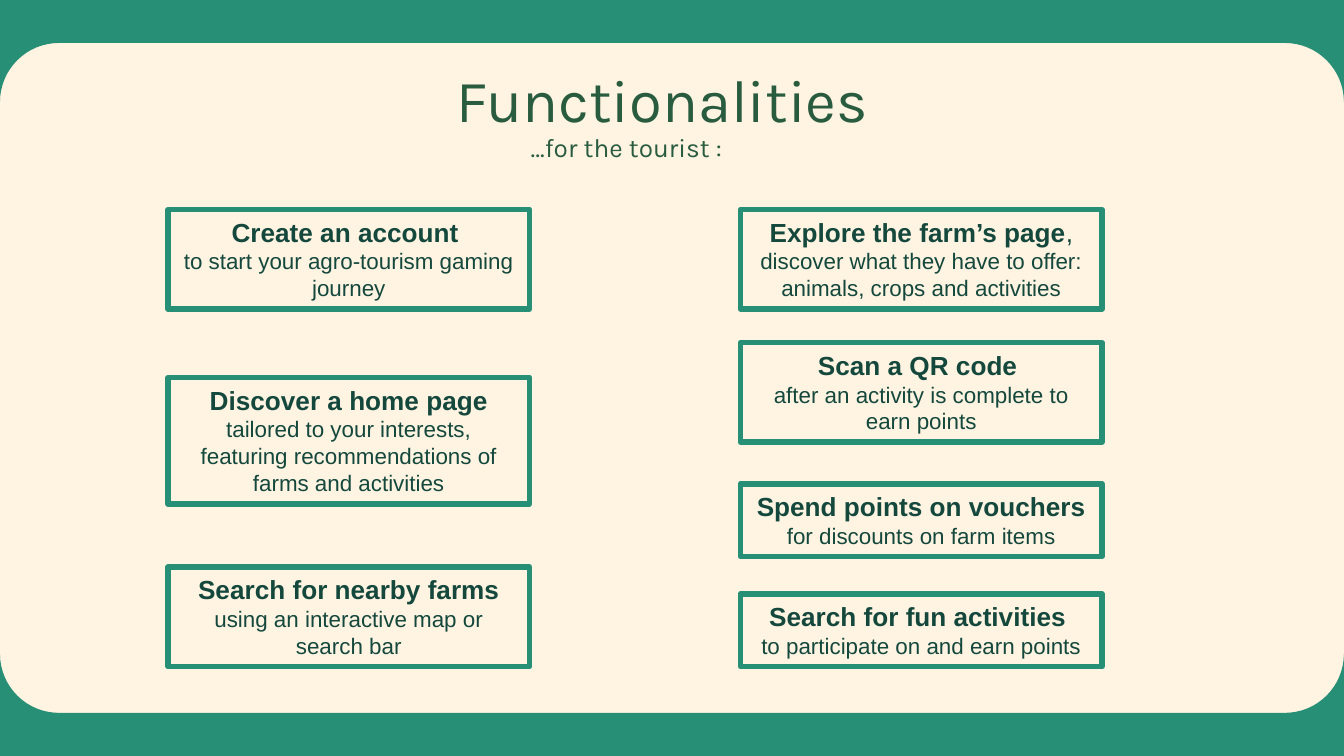
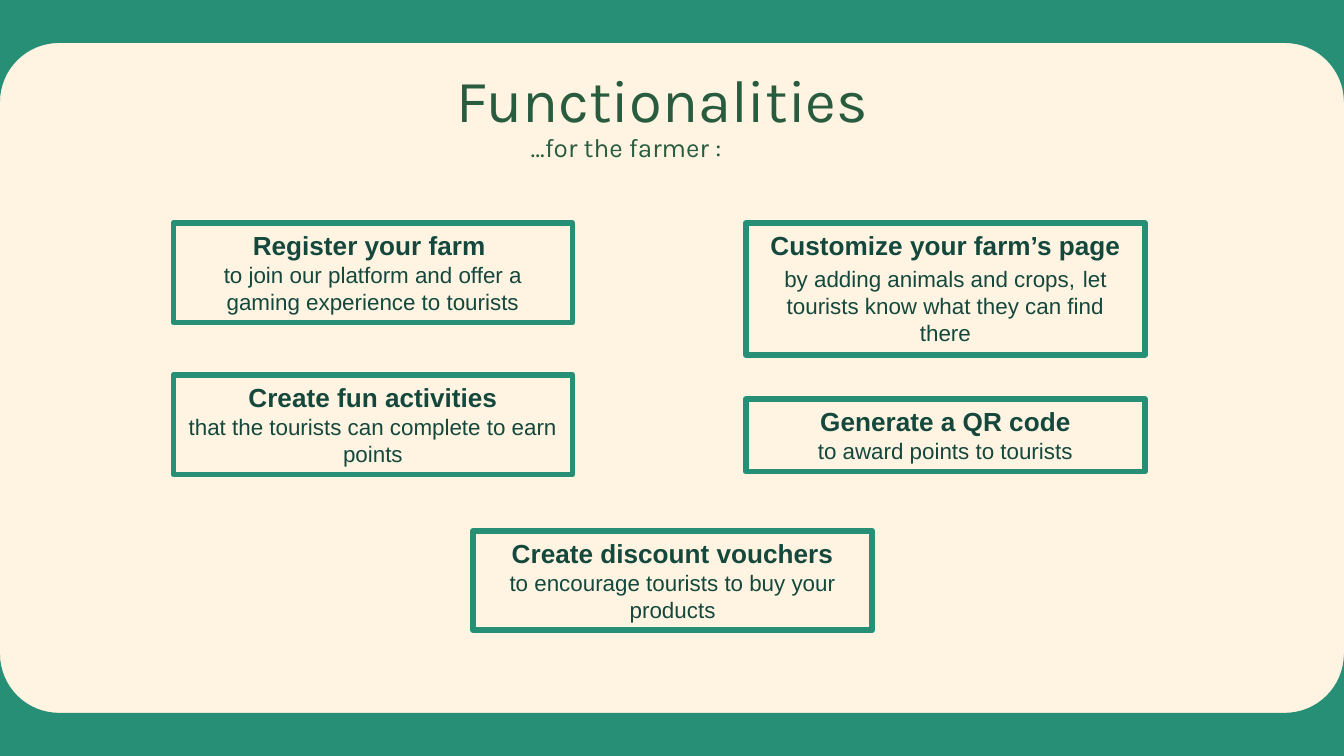
from dataclasses import dataclass
from math import cos, pi, sin

from lxml.etree import SubElement
from pptx import Presentation
from pptx.dml.color import RGBColor as RGB
from pptx.enum.shapes import MSO_SHAPE as Kind
from pptx.enum.text import MSO_ANCHOR as Anchor, MSO_AUTO_SIZE as Fit, PP_ALIGN as Align
from pptx.oxml.ns import qn
from pptx.slide import Slide, SlideLayout as Layout
from pptx.text.text import TextFrame as Frame
from pptx.util import Inches, Pt

WIDTH = 10
HEIGHT = WIDTH * 9 / 16


@dataclass(frozen=True)
class Theme:
    cream: RGB = RGB(0xFF, 0xF3, 0xE2)
    green: RGB = RGB(0x28, 0x8F, 0x77)
    forest: RGB = RGB(0x29, 0x5C, 0x3F)
    ink: RGB = RGB(0x14, 0x48, 0x3C)
    serif: str = "Karla"
    sans: str = "Arial"
    title: int = 32
    head: int = 14
    body: int = 12
    border: int = 3


THEME = Theme()


@dataclass(frozen=True)
class Style:
    font: str
    size: int
    color: RGB
    bold: bool = False


TITLE = Style(THEME.serif, THEME.title, THEME.forest)
SUB = Style(THEME.serif, THEME.head, THEME.forest)
HEAD = Style(THEME.sans, THEME.head, THEME.ink, True)
LINK = Style(THEME.sans, THEME.head, THEME.ink)
BODY = Style(THEME.sans, THEME.body, THEME.ink)

Para = list[tuple[str, Style]]


@dataclass(frozen=True)
class Card:
    left: float
    top: float
    height: float
    paras: list[Para]


@dataclass(frozen=True)
class Page:
    sub: str
    width: float
    cards: list[Card]


def split(head: str, body: str) -> list[Para]:
    """Heading and body as two paragraphs."""
    return [[(head, HEAD)], [(body, BODY)]]


def flow(head: str, body: str) -> list[Para]:
    """Heading and body in one wrapping paragraph."""
    return [[(head, HEAD), (body, BODY)]]


TWO, THREE, FOUR = 0.54, 0.74, 0.94  # card heights by number of text lines

PAGES = [
    Page("…for the tourist :", 2.69, [
        Card(1.25, 4.22, THREE, flow(
            "Search for nearby farms ", "using an interactive map or search bar")),
        Card(5.51, 1.56, THREE, [[
            ("Explore the farm’s page", HEAD), (", ", LINK),
            ("discover what they have to offer: animals, crops and activities", BODY)]]),
        Card(5.51, 2.55, THREE, split(
            "Scan a QR code ", "after an activity is complete to earn points")),
        Card(5.51, 3.6, TWO, flow(
            "Spend points on vouchers ", "for discounts on farm items")),
        Card(5.51, 4.42, TWO, split(
            "Search for fun activities ", "to participate on and earn points")),
        Card(1.25, 2.81, FOUR, flow(
            "Discover a home page ",
            "tailored to your interests, featuring recommendations of farms and activities")),
        Card(1.25, 1.56, THREE, split(
            "Create an account ", "to start your agro-tourism gaming journey")),
    ]),
    Page("…for the farmer :", 2.97, [
        Card(5.55, 1.66, 0.98, [[
            ("Customize your farm’s page ", HEAD),
            ("by adding animals and crops,", BODY), (" ", LINK),
            ("let tourists know what they can find there", BODY)]]),
        Card(1.29, 1.66, THREE, split(
            "Register your farm ",
            "to join our platform and offer a gaming experience to tourists")),
        Card(1.29, 2.79, THREE, split(
            "Create fun activities", "that the tourists can complete to earn points")),
        Card(5.55, 2.97, TWO, split(
            "Generate a QR code", "to award points to tourists")),
        Card(3.52, 3.95, THREE, split(
            "Create discount vouchers", "to encourage tourists to buy your products")),
    ]),
]


def write(frame: Frame, paras: list[Para], align: Align) -> None:
    frame.word_wrap = True
    for i, runs in enumerate(paras):
        para = frame.add_paragraph() if i else frame.paragraphs[0]
        para.alignment = align
        for text, style in runs:
            run = para.add_run()
            run.text = text
            font = run.font
            font.name, font.size, font.bold = style.font, Pt(style.size), style.bold
            font.color.rgb = style.color


def place(shape, left: float, top: float, width: float, height: float) -> None:
    shape.left, shape.top = Inches(left), Inches(top)
    shape.width, shape.height = Inches(width), Inches(height)


def frame_layout(slide: Slide, layout: Layout) -> None:
    """Give the layout its cream ground and the two curved green bands."""
    fill = layout.background.fill
    fill.solid()
    fill.fore_color.rgb = THEME.cream

    edge, radius, steps = 0.32, 0.44, 16
    turns = [pi / 2 * i / steps for i in range(steps + 1)]
    left = [(radius * (1 - cos(t)), edge + radius * (1 - sin(t))) for t in turns]
    right = [(WIDTH - x, y) for x, y in reversed(left)]
    outline = [(0, 0), *left, *right, (WIDTH, 0)]
    flipped = [(x, HEIGHT - y) for x, y in outline]

    for i, points in enumerate((outline, flipped)):
        spots = [(Inches(x), Inches(y)) for x, y in points]
        pen = slide.shapes.build_freeform(*spots[0])
        pen.add_line_segments(spots[1:], close=True)
        band = pen.convert_to_shape()
        band.shadow.inherit = False
        band.fill.solid()
        band.fill.fore_color.rgb = THEME.green
        band.line.fill.background()
        band.element.nvSpPr.cNvPr.id = 20 + i
        layout.shapes.element.insert(2 + i, band.element)


def add_head(slide: Slide, sub: str) -> None:
    title = slide.shapes.title
    place(title, 2.59, 0.26, 4.68, 0.84)
    frame = title.text_frame
    frame.auto_size = Fit.NONE
    frame.vertical_anchor = Anchor.BOTTOM
    frame.margin_left = frame.margin_right = Inches(0.1)
    frame.margin_top = frame.margin_bottom = Inches(0.1)
    write(frame, [[("Functionalities", TITLE)]], Align.CENTER)

    box = slide.shapes.add_textbox(Inches(3.85), Inches(0.93), Inches(3.43), Inches(0.34))
    box.text_frame.auto_size = Fit.SHAPE_TO_FIT_TEXT
    write(box.text_frame, [[(sub, SUB)]], Align.LEFT)


def add_card(slide: Slide, card: Card, width: float) -> None:
    box = slide.shapes.add_shape(
        Kind.RECTANGLE, Inches(card.left), Inches(card.top),
        Inches(width), Inches(card.height))
    box.shadow.inherit = False
    box.fill.background()
    box.line.color.rgb = THEME.green
    box.line.width = Pt(THEME.border)
    SubElement(box.element.spPr.find(qn("a:ln")), qn("a:round"))
    frame = box.text_frame
    frame.vertical_anchor = Anchor.TOP
    frame.auto_size = Fit.SHAPE_TO_FIT_TEXT
    write(frame, card.paras, Align.CENTER)


def main() -> None:
    deck = Presentation()
    deck.slide_width, deck.slide_height = Inches(WIDTH), Inches(HEIGHT)
    layout = deck.slide_layouts[5]
    for i, page in enumerate(PAGES):
        slide = deck.slides.add_slide(layout)
        if i == 0:
            frame_layout(slide, layout)
        add_head(slide, page.sub)
        for card in page.cards:
            add_card(slide, card, page.width)
    deck.save("out.pptx")


if __name__ == "__main__":
    main()
